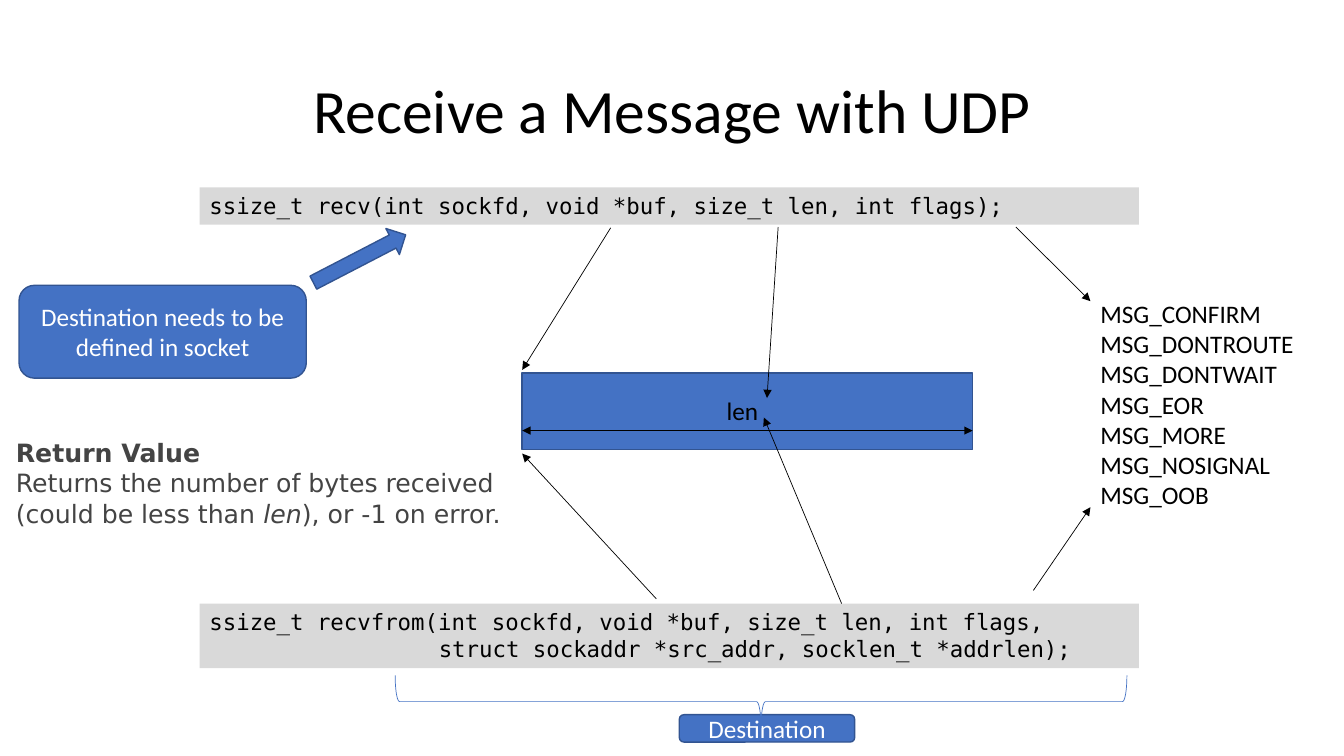
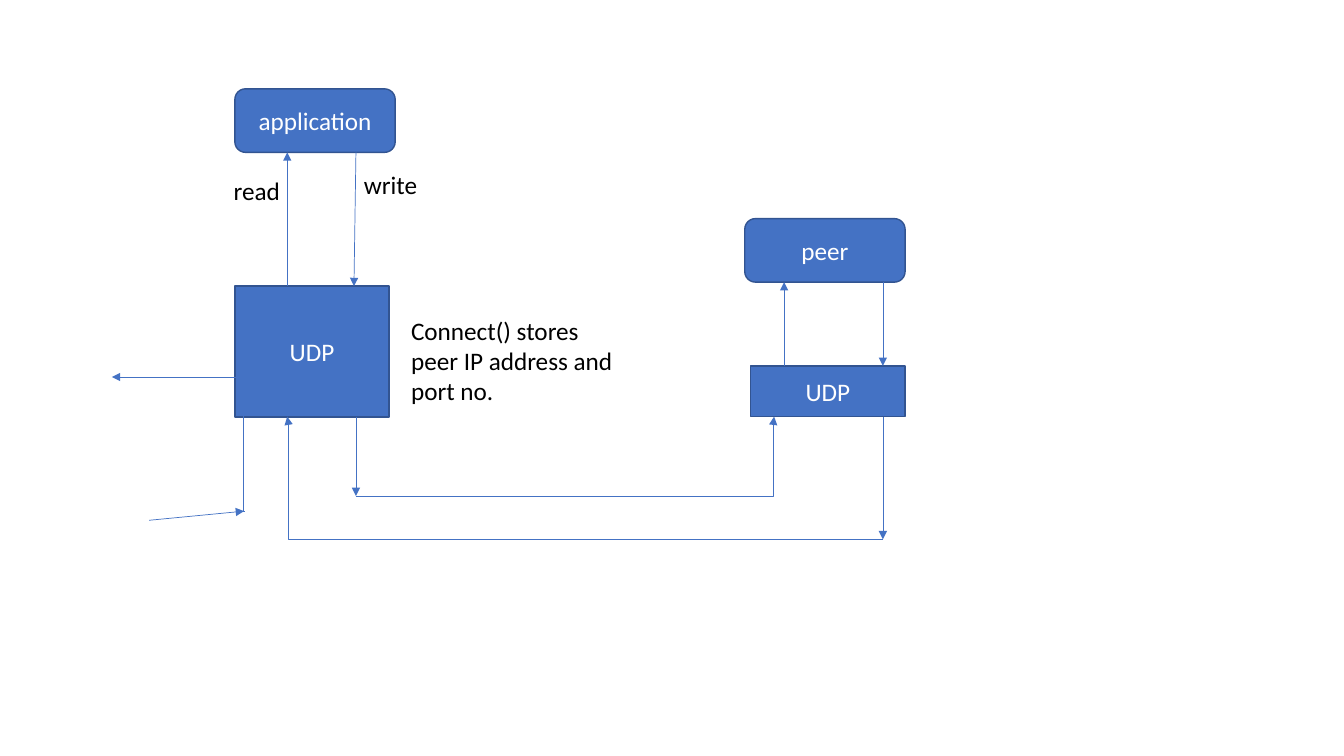
from pptx import Presentation
from pptx import util as u
from pptx.dml.color import RGBColor
from pptx.enum import shapes, text
from pptx.oxml import ns
from lxml import etree

BLUE = RGBColor(0x44, 0x72, 0xC4)
DARK_BLUE = RGBColor(0x32, 0x54, 0x91)
LIGHT_GREY = RGBColor(0xD9, 0xD9, 0xD9)
DARK_GREY = RGBColor(0x44, 0x44, 0x44)
BLACK = RGBColor(0, 0, 0)
WHITE = RGBColor(0xFF, 0xFF, 0xFF)

BODY_FONT = "Calibri"
CODE_FONT = "DejaVu Sans Mono"
NOTE_FONT = "DejaVu Sans"
TITLE_ONLY, BLANK = 5, 6

KIND = shapes.MSO_SHAPE
ALIGN = text.PP_ALIGN
ANCHOR = text.MSO_ANCHOR


def write(shape, *paragraphs, font=BODY_FONT, size=18, color=BLACK, align=ALIGN.LEFT,
          anchor=ANCHOR.TOP, spacing=None, indents=None):
    """Fill a shape; a paragraph is a string or a list of (text, style) runs.

    A run style is "bold", "italic" or "". indents maps a paragraph number to its left margin.
    """
    frame = shape.text_frame
    frame.word_wrap = True
    frame.vertical_anchor = anchor
    for number, content in enumerate(paragraphs):
        paragraph = frame.add_paragraph() if number else frame.paragraphs[0]
        paragraph.alignment = align
        if spacing:
            paragraph.line_spacing = spacing
        if indents and number in indents:
            paragraph._p.get_or_add_pPr().set("marL", str(int(indents[number])))
        runs = [(content, "")] if isinstance(content, str) else content
        for words, style in runs:
            run = paragraph.add_run()
            run.text = words
            run.font.name = font
            run.font.size = u.Pt(size)
            run.font.color.rgb = color
            run.font.bold = style == "bold"
            run.font.italic = style == "italic"


class Deck:
    """Holds the presentation, its style and the slide being drawn; lengths are centimetres."""

    def __init__(self):
        self.presentation = Presentation()
        self.presentation.slide_width = u.Cm(33.87)
        self.presentation.slide_height = u.Cm(19.05)
        self.slide = None

    def add_slide(self, title=None):
        layout = self.presentation.slide_layouts[TITLE_ONLY if title else BLANK]
        self.slide = self.presentation.slides.add_slide(layout)
        if title:
            shape = self.slide.shapes.title
            shape.left, shape.top = u.Cm(2.34), u.Cm(1.02)
            shape.width, shape.height = u.Cm(29.21), u.Cm(3.68)
            write(shape, title, size=44, align=ALIGN.CENTER, anchor=ANCHOR.MIDDLE, spacing=0.9)

    def shape(self, kind, left, top, width, height, fill=BLUE, line=DARK_BLUE, weight=1,
              rotation=0):
        shape = self.slide.shapes.add_shape(
            kind, u.Cm(left), u.Cm(top), u.Cm(width), u.Cm(height))
        shape.shadow.inherit = False
        shape.rotation = rotation
        if fill is None:
            shape.fill.background()
        else:
            shape.fill.solid()
            shape.fill.fore_color.rgb = fill
        if line is None:
            shape.line.fill.background()
        else:
            shape.line.color.rgb = line
            shape.line.width = u.Pt(weight)
        return shape

    def box(self, label, left, top, width, height, kind=KIND.ROUNDED_RECTANGLE):
        shape = self.shape(kind, left, top, width, height)
        write(shape, label, color=WHITE, align=ALIGN.CENTER, anchor=ANCHOR.MIDDLE)

    def code(self, top, height, *lines, indents=None):
        shape = self.shape(KIND.RECTANGLE, 5.03, top, 23.67, height, LIGHT_GREY, None)
        write(shape, *lines, font=CODE_FONT, size=16, indents=indents)

    def label(self, left, top, width, height, *paragraphs, **style):
        shape = self.slide.shapes.add_textbox(
            u.Cm(left), u.Cm(top), u.Cm(width), u.Cm(height))
        write(shape, *paragraphs, **style)

    def arrow(self, start, end, color=BLUE, heads=("tailEnd",), elbow=False):
        """Draw an arrow; an elbow runs level from its start, then upright to its end."""
        kind = shapes.MSO_CONNECTOR.ELBOW if elbow else shapes.MSO_CONNECTOR.STRAIGHT
        connector = self.slide.shapes.add_connector(
            kind, *(u.Cm(value) for value in (*start, *end)))
        connector.line.color.rgb = color
        connector.line.width = u.Pt(0.5)
        properties = connector._element.spPr
        line = properties.find(ns.qn("a:ln"))
        for head in heads:
            etree.SubElement(line, ns.qn(f"a:{head}"), type="triangle")
        etree.SubElement(properties, ns.qn("a:effectLst"))
        if elbow:
            geometry = properties.find(ns.qn("a:prstGeom"))
            values = geometry.find(ns.qn("a:avLst"))
            if values is None:
                values = etree.SubElement(geometry, ns.qn("a:avLst"))
            etree.SubElement(values, ns.qn("a:gd"), name="adj1", fmla="val 99800")


def draw_receive(deck):
    deck.add_slide("Receive a Message with UDP")
    deck.code(4.72, 0.94, "ssize_t recv(int sockfd, void *buf, size_t len, int flags);")
    deck.code(15.21, 1.63,
              "ssize_t recvfrom(int sockfd, void *buf, size_t len, int flags,",
              "struct sockaddr *src_addr, socklen_t *addrlen);",
              indents={1: u.Cm(5.78)})

    deck.box("Destination needs to be defined in socket", 0.48, 7.19, 7.24, 2.34)
    deck.shape(KIND.UP_ARROW, 8.69, 5.21, 0.74, 2.62, rotation=62.6)

    buffer_left, buffer_width = 13.16, 11.35
    deck.shape(KIND.RECTANGLE, buffer_left, 9.4, buffer_width, 1.93)
    deck.arrow((buffer_left, 10.85), (buffer_left + buffer_width, 10.85), BLACK,
               ("headEnd", "tailEnd"))
    deck.label(18.06, 9.83, 1.55, 1.02, "len")

    for start, end in (
        ((15.39, 5.74), (buffer_left, 9.32)),
        ((19.61, 5.72), (19.33, 10.03)),
        ((25.6, 5.72), (27.48, 7.59)),
        ((16.54, 15.09), (buffer_left, 11.43)),
        ((21.21, 15.21), (19.25, 10.52)),
        ((26.04, 14.88), (27.48, 12.78)),
    ):
        deck.arrow(start, end, BLACK)

    deck.box("Destination", 17.12, 18.01, 4.42, 0.69)
    deck.shape(KIND.LEFT_BRACE, 18.52, 8.46, 1.32, 18.44, None, BLUE, 0.5, rotation=270)

    deck.label(27.48, 7.39, 5.72, 5.64,
               "MSG_CONFIRM", "MSG_DONTROUTE", "MSG_DONTWAIT", "MSG_EOR", "MSG_MORE",
               "MSG_NOSIGNAL", "MSG_OOB")
    deck.label(0.15, 10.9, 13.41, 2.57,
               [("Return Value", "bold")],
               [("Returns the number of bytes received (could be less than ", ""),
                ("len", "italic"), ("), or -1 on error.", "")],
               font=NOTE_FONT, color=DARK_GREY)


def draw_connected(deck):
    deck.add_slide()
    deck.box("application", 5.92, 2.24, 4.04, 1.6)
    deck.box("UDP", 5.92, 7.21, 3.89, 3.3, KIND.RECTANGLE)
    deck.box("peer", 18.77, 5.51, 4.04, 1.6)
    deck.box("UDP", 18.92, 9.22, 3.89, 1.27, KIND.RECTANGLE)

    for start, end in (
        ((7.24, 7.21), (7.24, 3.84)),
        ((8.97, 3.84), (8.92, 7.21)),
        ((8.97, 10.5), (8.97, 12.5)),
        ((19.76, 9.22), (19.76, 7.11)),
        ((22.25, 7.11), (22.25, 9.22)),
        ((22.25, 10.5), (22.25, 13.59)),
        ((3.76, 13.11), (6.15, 12.88)),
    ):
        deck.arrow(start, end)

    deck.arrow((8.97, 12.5), (19.51, 10.5), elbow=True)
    deck.arrow((22.25, 13.59), (7.24, 10.5), elbow=True)
    deck.arrow((2.82, 9.5), (6.15, 12.88), heads=("headEnd",), elbow=True)

    deck.label(5.64, 4.29, 2.9, 1.02, "read")
    deck.label(8.92, 4.14, 2.24, 1.02, "write")
    deck.label(10.11, 7.82, 5.64, 2.57, "Connect() stores peer IP address and port no.")


def main():
    deck = Deck()
    draw_receive(deck)
    draw_connected(deck)
    deck.presentation.save("out.pptx")


if __name__ == "__main__":
    main()
